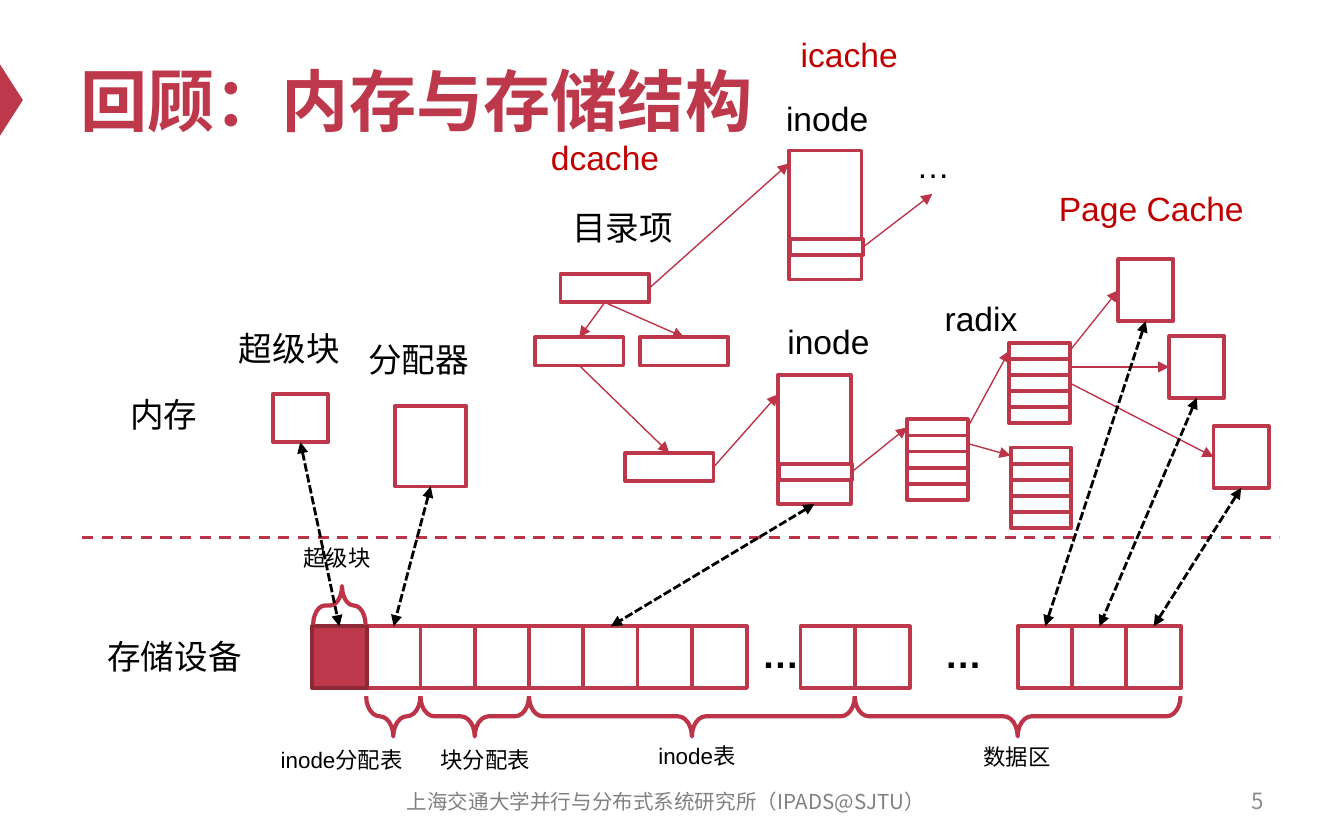
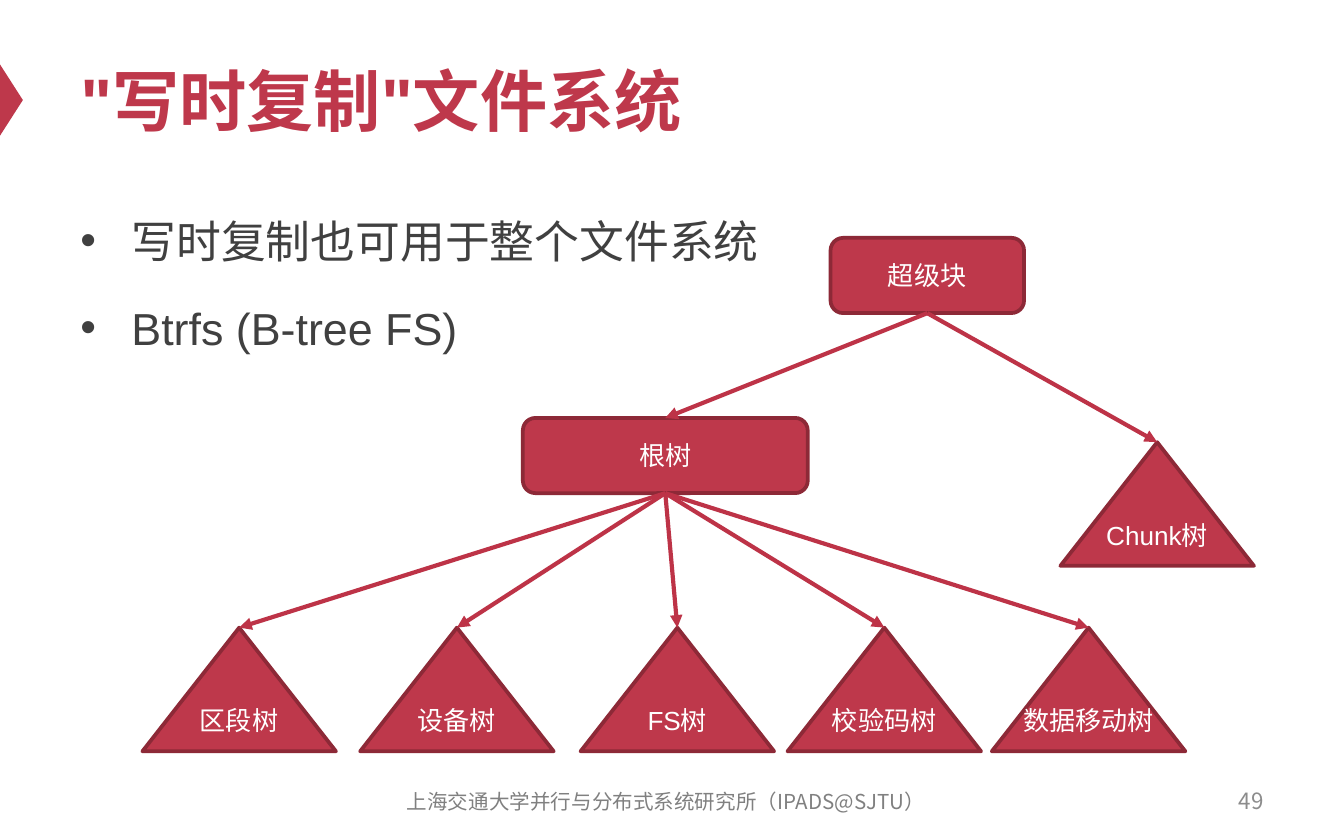
"""Builds two lecture slides on file system structure and copy-on-write."""
from lxml import etree
from pptx import Presentation
from pptx.dml.color import RGBColor
from pptx.enum.dml import MSO_LINE
from pptx.enum.shapes import MSO_CONNECTOR, MSO_SHAPE
from pptx.enum.text import MSO_ANCHOR, PP_ALIGN
from pptx.oxml.ns import qn
from pptx.util import Inches, Pt

RECT = MSO_SHAPE.RECTANGLE
ROUND = MSO_SHAPE.ROUNDED_RECTANGLE
PEAK = MSO_SHAPE.ISOSCELES_TRIANGLE
BRACE = MSO_SHAPE.RIGHT_BRACE
LINE = MSO_CONNECTOR.STRAIGHT
DASH = MSO_LINE.DASH
DOTS = MSO_LINE.SQUARE_DOT
TOP, MIDDLE = MSO_ANCHOR.TOP, MSO_ANCHOR.MIDDLE
LEFT, CENTER, RIGHT = PP_ALIGN.LEFT, PP_ALIGN.CENTER, PP_ALIGN.RIGHT

HUES = {"red": "BE384B", "edge": "8D2937", "wire": "BD3347", "cache": "C00000",
        "white": "FFFFFF", "black": "000000", "body": "404040",
        "foot": "808080", "page": "8C8C8C"}
SANS, NOTO = "Arial", "Noto Sans CJK SC"
FOOT = "上海交通大学并行与分布式系统研究所（IPADS@SJTU）"


def hue(name):
    return RGBColor.from_string(HUES[name])


def part(area, x, y, w, h):
    """Return a box placed inside an area."""
    return area[0] + x, area[1] + y, w, h


def spot(box, across, down):
    """Return the point at the given fractions of a box."""
    return box[0] + across * box[2], box[1] + down * box[3]


def write(frame, text, size=18, color="black", font=SANS, bold=False, align=LEFT,
          anchor=TOP, wrap=False, bullet=False):
    """Fill a text frame, one paragraph for each line of text."""
    frame.word_wrap = wrap
    frame.vertical_anchor = anchor
    for i, line in enumerate(text.split("\n")):
        para = frame.paragraphs[0] if i == 0 else frame.add_paragraph()
        para.alignment = align
        if bullet:
            props = para._p.get_or_add_pPr()
            props.set("marL", str(Inches(0.38)))
            props.set("indent", str(Inches(-0.38)))
            etree.SubElement(props, qn("a:buFont")).set("typeface", SANS)
            etree.SubElement(props, qn("a:buChar")).set("char", "•")
            para.line_spacing = 1.2
            if i:
                para.space_before = Pt(12)
        run = para.add_run()
        run.text = line
        run.font.size = Pt(size)
        run.font.name = font
        run.font.bold = bold
        run.font.color.rgb = hue(color)


def label(slide, text, box, **form):
    frame = slide.shapes.add_textbox(*map(Inches, box)).text_frame
    write(frame, text, **form)


def draw(slide, kind, box, fill="white", edge="red", width=2):
    """Add a preset shape; a fill or edge of None leaves it out."""
    shape = slide.shapes.add_shape(kind, *map(Inches, box))
    shape.shadow.inherit = False
    if fill:
        shape.fill.solid()
        shape.fill.fore_color.rgb = hue(fill)
    else:
        shape.fill.background()
    if edge:
        shape.line.color.rgb = hue(edge)
        shape.line.width = Pt(width)
    else:
        shape.line.fill.background()
    return shape


def link(slide, start, end, color="wire", width=0.75, dash=None, ends=("tailEnd",)):
    """Join two points by a line with arrowheads at the named ends."""
    wire = slide.shapes.add_connector(LINE, *map(Inches, start + end))
    wire.line.color.rgb = hue(color)
    wire.line.width = Pt(width)
    if dash:
        wire.line.dash_style = dash
    for tag in ends:
        etree.SubElement(wire.line._get_or_add_ln(), qn("a:" + tag)).set("type", "triangle")
    etree.SubElement(wire._element.spPr, qn("a:effectLst"))


def sync(slide, start, end):
    """Join a memory object and its disk block both ways."""
    link(slide, start, end, "black", 1.5, DOTS, ("headEnd", "tailEnd"))


def brace(slide, box, turn=90, mid=0.5):
    """Draw a brace over a level box, pointing down, or up at a turn of 270."""
    x, y, w, h = box
    shape = draw(slide, BRACE, (x + (w - h) / 2, y + (h - w) / 2, h, w), None, "wire", 2.25)
    shape.rotation = turn
    shape.adjustments[0] = 0.347
    shape.adjustments[1] = mid


def base(deck, title, page):
    """Add a slide with marker, title, footer and page number."""
    slide = deck.slides.add_slide(deck.slide_layouts[6])
    draw(slide, PEAK, (-0.18, 0.66, 0.53, 0.17), "red", None).rotation = 90
    label(slide, title, (0.5, 0.25, 9, 0.98), size=36, color="red", bold=True,
          anchor=MIDDLE, wrap=True)
    label(slide, FOOT, (2.79, 5.8, 4.33, 0.33), size=11, color="foot", font=NOTO,
          align=CENTER, anchor=MIDDLE, wrap=True)
    label(slide, str(page), (7.17, 5.79, 2.33, 0.33), size=12, color="page", font=NOTO,
          align=RIGHT, anchor=MIDDLE, wrap=True)
    return slide


def disk(slide, area):
    """Draw the row of disk blocks and return their boxes by index."""
    step = 0.404
    cells = {i: part(area, 1.62 + i * step, 0.66, 0.41, 0.46)
             for i in (*range(1, 8), 9, 10, 13, 14, 15, 0)}
    for i, cell in cells.items():
        draw(slide, RECT, cell, *(("white", "red") if i else ("red", "edge")))
    for first, count in ((1, 1), (2, 2), (4, 6), (10, 6)):
        brace(slide, part(area, 1.62 + first * step, 1.18, count * step, 0.3))
    brace(slide, part(area, 1.63, 0.36, 0.39, 0.29), 270, 0.55)
    for x in (4.87, 6.23):
        label(slide, "…", part(area, x, 0.65, 0.48, 0.44), size=20, bold=True)
    for text, x, y, w, wrap in (("超级块", 1.46, 0, 0.71, False),
                                ("inode分配表", 1.29, 1.5, 1.12, True),
                                ("块分配表", 2.48, 1.5, 0.88, False),
                                ("inode表", 4.1, 1.47, 0.78, True),
                                ("数据区", 6.52, 1.48, 0.71, False)):
        label(slide, text, part(area, x, y, w, 0.3), size=12, wrap=wrap)
    label(slide, "存储设备", part(area, 0, 0.68, 1.21, 0.4))
    return cells


def boot(slide, area):
    """Draw the superblock and allocator in memory and return their boxes."""
    label(slide, "内存", part(area, 0, 0.49, 0.71, 0.4))
    label(slide, "超级块", part(area, 0.81, 0, 0.96, 0.4))
    label(slide, "分配器", part(area, 1.77, 0.08, 0.96, 0.4))
    boxes = part(area, 1.16, 0.54, 0.41, 0.36), part(area, 2.07, 0.63, 0.53, 0.6)
    for box in boxes:
        draw(slide, RECT, box)
    return boxes


def dirs(slide, area):
    """Draw the directory entries and return the first and last."""
    label(slide, "dcache", part(area, 0.02, 0, 1.02, 0.4), color="cache")
    label(slide, "目录项", part(area, 0.18, 0.52, 0.97, 0.4))
    root, west, east, leaf = boxes = [
        part(area, x, y, 0.66, 0.21)
        for x, y in ((0.19, 1.07), (0, 1.54), (0.78, 1.54), (0.67, 2.4))]
    for box in boxes:
        draw(slide, RECT, box)
    for up, down in ((root, west), (root, east), (west, leaf)):
        link(slide, spot(up, 0.5, 1), spot(down, 0.5, 0))
    return root, leaf


def inode(slide, box):
    """Draw an inode and return its index slot."""
    draw(slide, RECT, box)
    slot = part(box, 0.01, 0.66, 0.54, 0.12)
    draw(slide, RECT, slot)
    return slot


def stack(slide, box):
    """Draw a radix node of five equal rows and return them."""
    x, y, w, h = box
    rows = [(x, y + i * h / 5, w, h / 5) for i in range(5)]
    for row in rows:
        draw(slide, RECT, row)
    return rows


def files(slide, area):
    """Draw inodes, radix nodes and cached pages; return inodes and pages."""
    for text, x, y, w, color in (("icache", 0.16, 0, 0.93, "cache"),
                                 ("inode", 0.05, 0.48, 0.82, "black"),
                                 ("…", 1.02, 0.83, 0.45, "black"),
                                 ("inode", 0.06, 2.14, 0.82, "black"),
                                 ("radix", 1.23, 1.97, 0.75, "black"),
                                 ("Page Cache", 2.08, 1.15, 1.59, "cache")):
        label(slide, text, part(area, x, y, w, 0.4), color=color)
    nodes = part(area, 0.17, 0.92, 0.54, 0.96), part(area, 0.09, 2.59, 0.54, 0.96)
    slots = [inode(slide, node) for node in nodes]
    head, high, low = [stack(slide, part(area, x, y, 0.45, 0.6))
                       for x, y in ((1.05, 2.92), (1.81, 2.35), (1.82, 3.13))]
    pages = [part(area, x, y, 0.41, 0.46)
             for x, y in ((2.62, 1.73), (3, 2.3), (3.33, 2.97))]
    for page in pages:
        draw(slide, RECT, page)
    link(slide, spot(slots[0], 1, 0.5), spot(area, 0.33, 0.35))
    for start, end in ((slots[1], head[0]), (head[0], high[0]), (head[1], low[0]),
                       *zip(high, pages)):
        link(slide, spot(start, 1, 0.5), spot(end, 0, 0.5))
    return nodes, pages


def review(deck):
    """Build the slide that maps memory structures to disk blocks."""
    slide = base(deck, "回顾：内存与存储结构", 5)
    cells = disk(slide, (0.7, 4, 8.1, 1.8))
    link(slide, (0.61, 4), (9.52, 4), width=1.5, dash=DASH, ends=())
    block, alloc = boot(slide, (0.87, 2.39, 2.73, 1.23))
    root, leaf = dirs(slide, (3.98, 0.97, 1.44, 2.61))
    nodes, pages = files(slide, (5.7, 0.2, 3.75, 3.55))
    link(slide, spot(root, 1, 0.5), spot(nodes[0], 0, 0.1))
    link(slide, spot(leaf, 1, 0.5), spot(nodes[1], 0, 0.15))
    for box, i in ((block, 0), (alloc, 1), (nodes[1], 5), *zip(pages, (13, 14, 15))):
        sync(slide, spot(box, 0.5, 1), spot(cells[i], 0.5, 0))


def node(slide, kind, text, box):
    """Draw a filled tree node with its name and return its box."""
    shape = draw(slide, kind, box, "red", "edge")
    write(shape.text_frame, text, size=14, color="white", align=CENTER, anchor=MIDDLE,
          wrap=kind == ROUND)
    return box


def trees(slide, area):
    """Draw the superblock, the root tree and the trees below them."""
    top = node(slide, ROUND, "超级块", part(area, 5.12, 0, 1.44, 0.56))
    root = node(slide, ROUND, "根树", part(area, 2.83, 1.34, 2.12, 0.56))
    chunk = node(slide, PEAK, "Chunk树", part(area, 6.83, 1.52, 1.44, 0.92))
    pairs = [(top, root), (top, chunk)]
    for text, x in (("区段树", 0), ("设备树", 1.62), ("FS树", 3.26),
                    ("校验码树", 4.8), ("数据移动树", 6.32)):
        pairs.append((root, node(slide, PEAK, text, part(area, x, 2.9, 1.44, 0.92))))
    for up, down in pairs:
        link(slide, spot(up, 0.5, 1), spot(down, 0.5, 0), width=2.25)


def copying(deck):
    """Build the slide on copy-on-write file systems."""
    slide = base(deck, '"写时复制"文件系统', 49)
    label(slide, "写时复制也可用于整个文件系统\nBtrfs (B-tree FS)", (0.5, 1.46, 9, 4.12),
          size=24, color="body", wrap=True, bullet=True)
    trees(slide, (1.06, 1.77, 8.27, 3.82))


def main():
    deck = Presentation()
    deck.slide_width, deck.slide_height = Inches(10), Inches(6.25)
    review(deck)
    copying(deck)
    deck.save("out.pptx")


if __name__ == "__main__":
    main()
